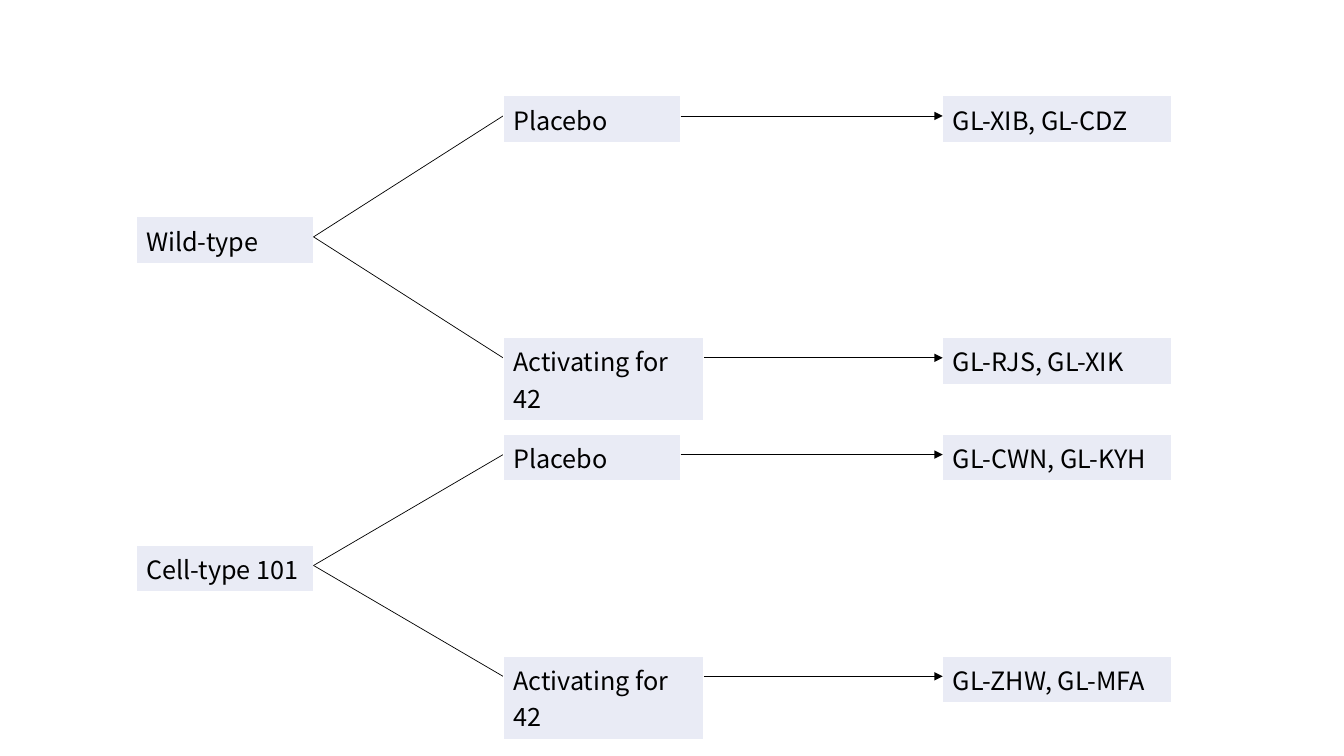
from lxml.etree import SubElement
from pptx import Presentation
from pptx.dml.color import RGBColor
from pptx.enum.shapes import MSO_CONNECTOR
from pptx.oxml.ns import qn
from pptx.util import Pt

PX = 9144
FONT = "Noto Sans CJK SC"
LABEL_HEIGHT = 40
ROOT_WIDTH = 176
SAMPLES_WIDTH = 227
BRANCH_OFFSET = 364

GROUPS = [
    ("Wild-type", (135, 95, 1027, 280),
     [("Placebo", 176, "GL-XIB, GL-CDZ"),
      ("Activating for 42", 199, "GL-RJS, GL-XIK")]),
    ("Cell-type 101", (135, 431, 1027, 260),
     [("Placebo", 176, "GL-CWN, GL-KYH"),
      ("Activating for 42", 199, "GL-ZHW, GL-MFA")]),
]


def px(value):
    return int(value * PX)


def color(value):
    return RGBColor.from_string(value)


def add_text(tf, text, size=18, font=FONT, fill="000000"):
    r = tf.paragraphs[0].add_run()
    r.text = text
    r.font.size = Pt(size)
    r.font.name = font
    r.font.color.rgb = color(fill)
    props = r.font._element
    SubElement(props, qn("a:ea")).set("typeface", font)


def add_borders(cell, line="FFFFFF", width=1):
    props = cell._tc.get_or_add_tcPr()
    for side in ("L", "R", "T", "B"):
        ln = SubElement(props, qn(f"a:ln{side}"), w=str(Pt(width)))
        fill = SubElement(ln, qn("a:solidFill"))
        SubElement(fill, qn("a:srgbClr"), val=line)


def add_label(slide, text, x, y, width):
    table = slide.shapes.add_table(
        1, 1, px(x), px(y), px(width), px(LABEL_HEIGHT)).table
    table.first_row = False
    table.horz_banding = False
    cell = table.cell(0, 0)
    add_borders(cell)
    cell.fill.solid()
    cell.fill.fore_color.rgb = color("E9EBF5")
    add_text(cell.text_frame, text)


def add_line(slide, x1, y1, x2, y2, arrow=False):
    s = slide.shapes.add_connector(
        MSO_CONNECTOR.STRAIGHT, px(x1), px(y1), px(x2), px(y2))
    s.line.color.rgb = color("000000")
    s.line.width = Pt(0.5)
    if arrow:
        SubElement(s.line._get_or_add_ln(), qn("a:tailEnd"), type="triangle")
    SubElement(s._element.spPr, qn("a:effectLst"))


def add_group(slide, root, box, branches):
    left, top, width, height = box
    half = LABEL_HEIGHT // 2
    middle = top + height // 2
    branch_left = left + BRANCH_OFFSET
    samples_left = left + width - SAMPLES_WIDTH
    step = (height - LABEL_HEIGHT) // (len(branches) - 1)

    add_label(slide, root, left, middle - half, ROOT_WIDTH)
    for i, (treatment, branch_width, samples) in enumerate(branches):
        y = top + i * step
        add_line(slide, left + ROOT_WIDTH, middle, branch_left, y + half)
        add_label(slide, treatment, branch_left, y, branch_width)
        add_label(slide, samples, samples_left, y, SAMPLES_WIDTH)
        add_line(slide, branch_left + branch_width, y + half,
                 samples_left, y + half, arrow=True)


def main():
    prs = Presentation()
    prs.slide_width = px(1333)
    prs.slide_height = px(750)
    slide = prs.slides.add_slide(prs.slide_layouts[6])
    for root, box, branches in GROUPS:
        add_group(slide, root, box, branches)
    prs.save("out.pptx")


if __name__ == "__main__":
    main()
